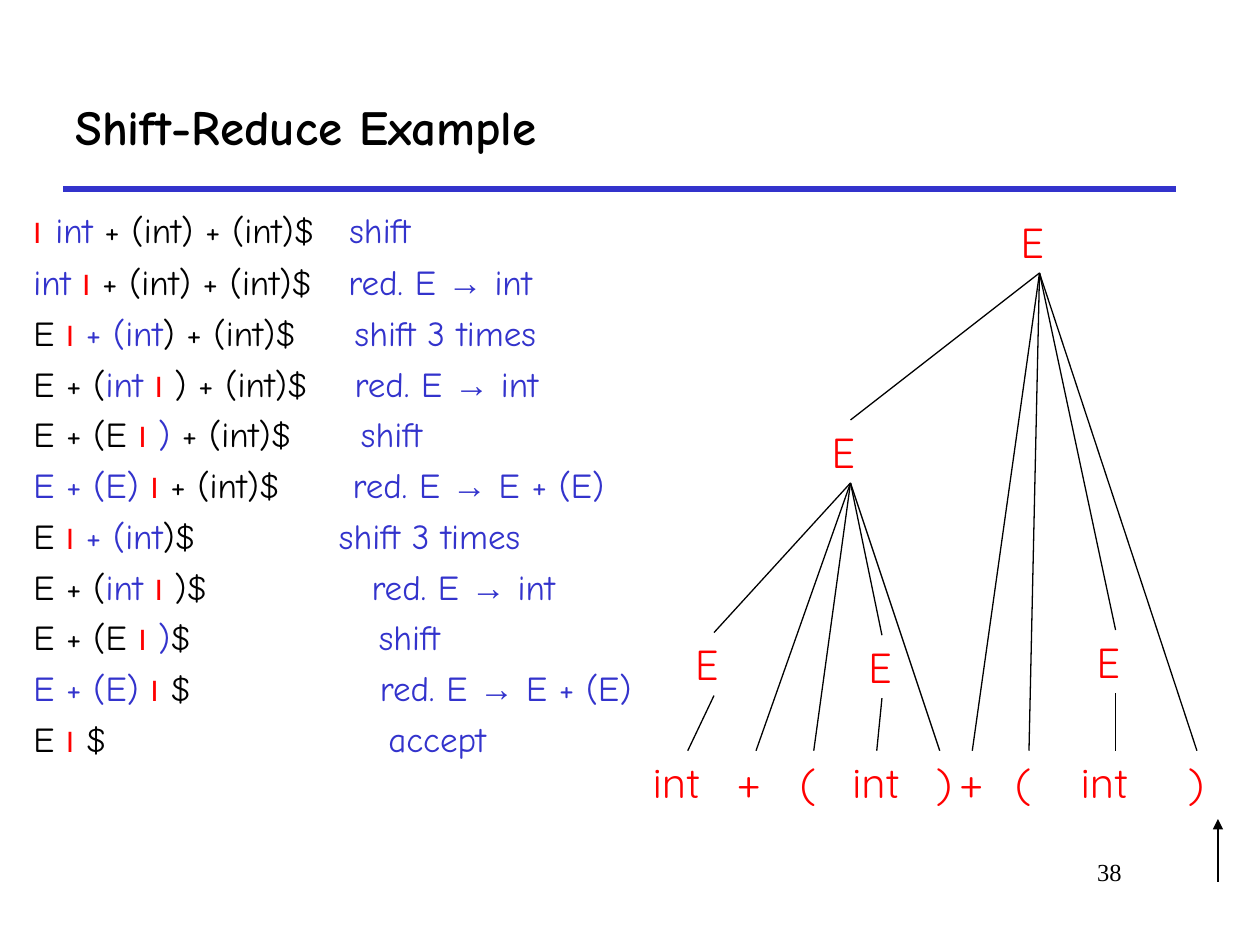
import dataclasses
import typing

import pptx
import pptx.dml.color
import pptx.enum.shapes
import pptx.enum.text
import pptx.oxml.ns
import pptx.util
from lxml import etree

CELL = 1 / 12  # the slide is a grid of 120 columns by 90 rows
BLACK, RED, BLUE = "000000", "FF0000", "3333CC"
BODY_FONT, TREE_FONT = "Comic Neue", "Quicksand"
NODE_ROWS = 6


@dataclasses.dataclass
class Step:
    """One parser state; the marker stands between the two handle parts."""
    before: str
    handle_left: str
    handle_right: str
    after: str
    action: str
    tab: float  # columns from the text edge to the action
    gap_size: int = 20


@dataclasses.dataclass
class Node:
    text: str
    center: float
    top: float
    width: float = 6
    children: typing.Sequence["Node"] = ()


def leaf(text: str, center: float, width: float) -> Node:
    return Node(text, center, 71.5, width)


STEPS = [
    Step("", "", "int", " + (int) + (int)$", "shift", 30.1, 24),
    Step("", "int ", "", "+ (int) + (int)$", "red. E → int", 30),
    Step("E ", "", "+ (int", ") + (int)$", "shift 3 times", 30.6),
    Step("E + (", "int ", "", ") + (int)$", "red. E → int", 30.6),
    Step("E + (E ", "", ")", " + (int)$", "shift", 31.2),
    Step("", "E + (E) ", "", "+ (int)$", "red. E → E + (E)", 30.4),
    Step("E ", "", "+ (int", ")$", "shift 3 times", 29.1),
    Step("E + (", "int ", "", ")$", "red. E → int", 32.2),
    Step("E + (E ", "", ")", "$", "shift", 32.9),
    Step("", "E + (E) ", "", "$", "red. E → E + (E)", 33),
    Step("E ", "", "", "$", "accept", 33.8),
]

INNER = Node("E", 81, 40, children=[
    Node("E", 68, 60.25, children=[leaf("int", 65.5, 9)]),
    leaf("+", 72, 6),
    leaf("(", 77.5, 5),
    Node("E", 84, 60.5, 5, [leaf("int", 83.5, 7)]),
    leaf(")", 89.5, 3),
])
ROOT = Node("E", 99, 20, children=[
    INNER,
    leaf("+", 92.6, 4.8),
    leaf("(", 98, 5),
    Node("E", 106.25, 60, children=[leaf("int", 106.25, 9)]),
    leaf(")", 114, 4),
])


def cells(n: float) -> int:
    return pptx.util.Inches(n * CELL)


def rgb(color: str) -> pptx.dml.color.RGBColor:
    return pptx.dml.color.RGBColor.from_string(color)


def style(r, size: float, font: str, color: str, bold: bool = False) -> None:
    r.font.size = pptx.util.Pt(size)
    r.font.name = font
    r.font.color.rgb = rgb(color)
    r.font.bold = bold


def add_box(s, left: float, top: float, width: float, height: float):
    sp = s.shapes.add_textbox(cells(left), cells(top), cells(width), cells(height))
    sp.text_frame.word_wrap = True
    return sp


def add_label(s, text: str, box: tuple, size: float, font: str, color: str, bold: bool = False):
    sp = add_box(s, *box)
    sp.text_frame.text = text
    style(sp.text_frame.paragraphs[0].runs[0], size, font, color, bold)
    return sp


def add_line(s, x1: float, y1: float, x2: float, y2: float, color: str, width: float):
    line = s.shapes.add_connector(
        pptx.enum.shapes.MSO_CONNECTOR.STRAIGHT, cells(x1), cells(y1), cells(x2), cells(y2))
    line.line.color.rgb = rgb(color)
    line.line.width = pptx.util.Pt(width)
    etree.SubElement(line._element.spPr, pptx.oxml.ns.qn("a:effectLst"))
    return line


def add_run(p, text: str, color: str, size: float = 20, font: str = BODY_FONT) -> None:
    if text:
        r = p.add_run()
        r.text = text
        style(r, size, font, color)


def fill_step(p, step: Step) -> None:
    p.space_before = pptx.util.Pt(5)
    tabs = etree.SubElement(p._p.get_or_add_pPr(), pptx.oxml.ns.qn("a:tabLst"))
    etree.SubElement(tabs, pptx.oxml.ns.qn("a:tab"), pos=str(cells(step.tab)), algn="l")
    add_run(p, step.before, BLACK)
    add_run(p, step.handle_left, BLUE)
    add_run(p, "I", RED, 18, "Calibri")
    add_run(p, " ", BLACK, step.gap_size)
    add_run(p, step.handle_right, BLUE)
    add_run(p, step.after + "\t", BLACK)
    action, arrow, result = step.action.partition("→")
    add_run(p, action, BLUE)
    add_run(p, arrow, BLUE, font="Arial")
    add_run(p, result, BLUE)


def add_trace(s) -> None:
    tf = add_box(s, 2, 13, 62, 73).text_frame
    tf.margin_top = cells(6.2)
    for i, step in enumerate(STEPS):
        fill_step(tf.add_paragraph() if i else tf.paragraphs[0], step)


def add_tree(s, node: Node):
    """Draw the node with everything below it and return its box."""
    box = (node.center - node.width / 2, node.top, node.width, NODE_ROWS)
    sp = add_label(s, node.text, box, 24, TREE_FONT, RED)
    for child in node.children:
        child_sp = add_tree(s, child)
        edge = add_line(s, node.center, node.top + NODE_ROWS, child.center, child.top, BLACK, 0.75)
        edge.begin_connect(sp, 2)
        edge.end_connect(child_sp, 0)
    return sp


def main() -> None:
    prs = pptx.Presentation()
    prs.slide_width, prs.slide_height = cells(120), cells(90)
    s = prs.slides.add_slide(prs.slide_layouts[6])

    add_line(s, 6, 18, 112, 18, BLUE, 3)
    number = add_label(s, "38", (83, 81, 25, 6), 14, "Times New Roman", BLACK)
    number.text_frame.paragraphs[0].alignment = pptx.enum.text.PP_ALIGN.RIGHT
    add_trace(s)
    add_tree(s, ROOT)

    arrow = add_line(s, 116, 78, 116, 84, BLACK, 1.5)
    etree.SubElement(arrow.line._get_or_add_ln(), pptx.oxml.ns.qn("a:headEnd"), type="triangle")

    title = add_label(s, "Shift-Reduce Example", (6, 6, 106, 12), 28, BODY_FONT, BLACK, True)
    title.text_frame.vertical_anchor = pptx.enum.text.MSO_ANCHOR.MIDDLE
    prs.save("out.pptx")


if __name__ == "__main__":
    main()
